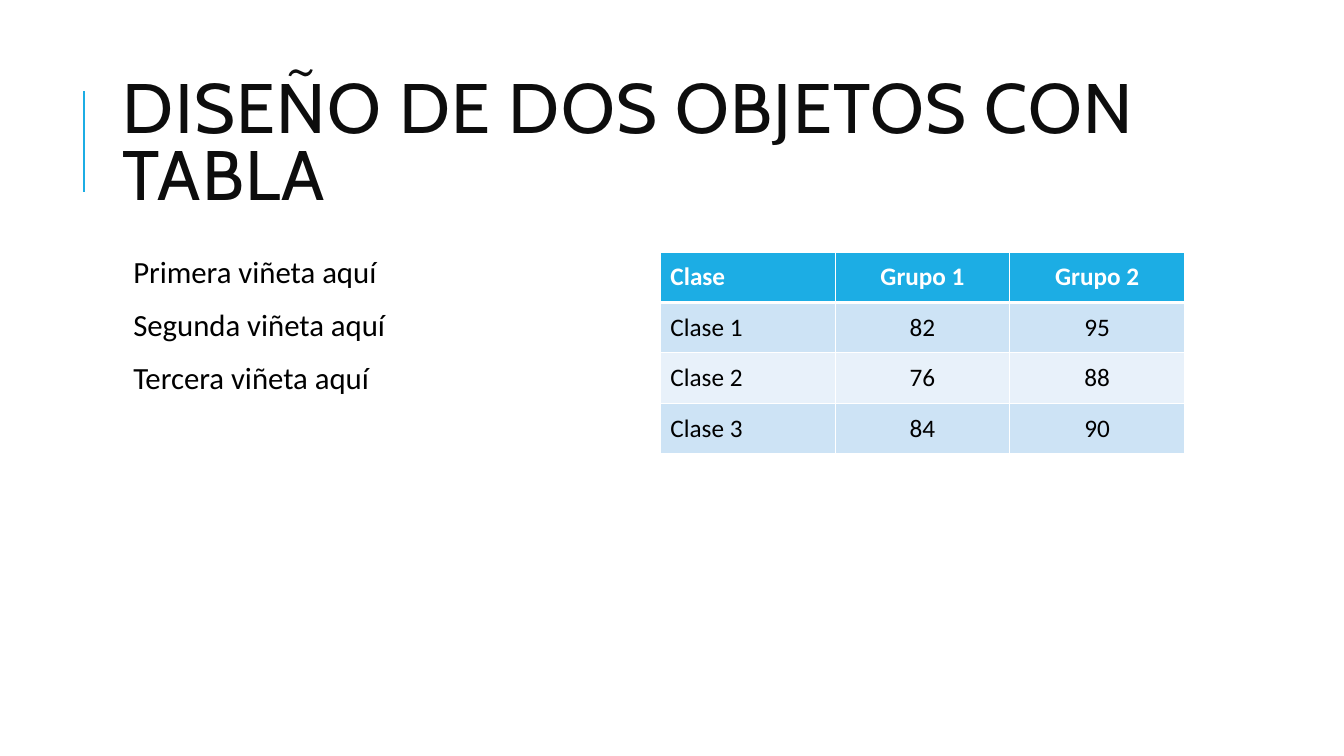
"""Build a slide with a title, three bullet lines and a table of class results."""
from dataclasses import dataclass

from lxml.etree import SubElement
from pptx import Presentation
from pptx.dml.color import RGBColor
from pptx.enum.shapes import MSO_CONNECTOR as Connector
from pptx.enum.text import MSO_ANCHOR as Anchor, PP_ALIGN as Align
from pptx.oxml.ns import qn
from pptx.util import Pt

PX = 9144


@dataclass(frozen=True)
class Theme:
    accent: str = "1CADE4"
    title: str = "0D0D0D"
    text: str = "000000"
    white: str = "FFFFFF"
    odd_band: str = "CDE3F5"
    even_band: str = "E8F1FA"
    heading_font: str = "Cabin"
    body_font: str = "Calibri"
    title_size: int = 50
    body_size: int = 22
    table_size: int = 18


theme = Theme()


def write(paragraph, text, size, color=theme.text, font=theme.body_font, bold=False,
          align=Align.LEFT, line_spacing=1.0, before=0, after=0):
    paragraph.alignment = align
    paragraph.line_spacing = line_spacing
    paragraph.space_before = Pt(before)
    paragraph.space_after = Pt(after)
    run = paragraph.add_run()
    run.text = text
    run.font.name = font
    run.font.size = Pt(size)
    run.font.bold = bold
    run.font.color.rgb = RGBColor.from_string(color)
    return run


def add_solid_fill(parent, color):
    fill = SubElement(parent, qn("a:solidFill"))
    SubElement(fill, qn("a:srgbClr"), val=color)


presentation = Presentation()
presentation.slide_width = 1333 * PX
presentation.slide_height = 750 * PX
slide = presentation.slides.add_slide(presentation.slide_layouts[6])

accent_line = slide.shapes.add_connector(Connector.STRAIGHT, 83 * PX, 190 * PX, 83 * PX, 90 * PX)
accent_line.line.color.rgb = RGBColor.from_string(theme.accent)
accent_line.line.width = Pt(1.5)
SubElement(accent_line._element.spPr, qn("a:effectLst"))

title_box = slide.shapes.add_textbox(112 * PX, 64 * PX, 1063 * PX, 164 * PX)
title_frame = title_box.text_frame
title_frame.word_wrap = True
title_frame.vertical_anchor = Anchor.MIDDLE
title_run = write(title_frame.paragraphs[0], "DISEÑO DE DOS OBJETOS CON TABLA", theme.title_size,
                  color=theme.title, font=theme.heading_font, line_spacing=0.8)
title_run.font._element.set("spc", "100")

bullet_box = slide.shapes.add_textbox(112 * PX, 250 * PX, 520 * PX, 440 * PX)
bullet_frame = bullet_box.text_frame
bullet_frame.word_wrap = True
bullet_frame.margin_left = bullet_frame.margin_right = 5 * PX
bullet_frame.margin_top = bullet_frame.margin_bottom = 5 * PX
for index, ordinal in enumerate(["Primera", "Segunda", "Tercera"]):
    paragraph = bullet_frame.add_paragraph() if index else bullet_frame.paragraphs[0]
    write(paragraph, f"{ordinal} viñeta aquí", theme.body_size,
          line_spacing=0.9, before=12, after=2)
    properties = paragraph._p.get_or_add_pPr()
    properties.set("marL", str(10 * PX))
    properties.set("indent", str(-10 * PX))
    bullet_color = SubElement(properties, qn("a:buClr"))
    SubElement(bullet_color, qn("a:srgbClr"), val=theme.accent)
    SubElement(properties, qn("a:buChar"), char=" ")

results = [
    ["Clase", "Grupo 1", "Grupo 2"],
    ["Clase 1", "82", "95"],
    ["Clase 2", "76", "88"],
    ["Clase 3", "84", "90"],
]
table = slide.shapes.add_table(len(results), len(results[0]),
                               655 * PX, 250 * PX, 520 * PX, 200 * PX).table
for row, values in enumerate(results):
    header = row == 0
    band = theme.accent if header else theme.odd_band if row % 2 else theme.even_band
    widths = {"lnL": 1, "lnR": 1, "lnT": 3 if row == 1 else 1, "lnB": 3 if header else 1}
    for column, value in enumerate(values):
        cell = table.cell(row, column)
        cell.vertical_anchor = Anchor.MIDDLE
        for side, width in widths.items():
            border = SubElement(cell._tc.get_or_add_tcPr(), qn(f"a:{side}"), w=str(Pt(width)))
            add_solid_fill(border, theme.white)
        cell.fill.solid()
        cell.fill.fore_color.rgb = RGBColor.from_string(band)
        write(cell.text_frame.paragraphs[0], value, theme.table_size,
              color=theme.white if header else theme.text, bold=header,
              align=Align.CENTER if column else Align.LEFT)

presentation.save("out.pptx")
